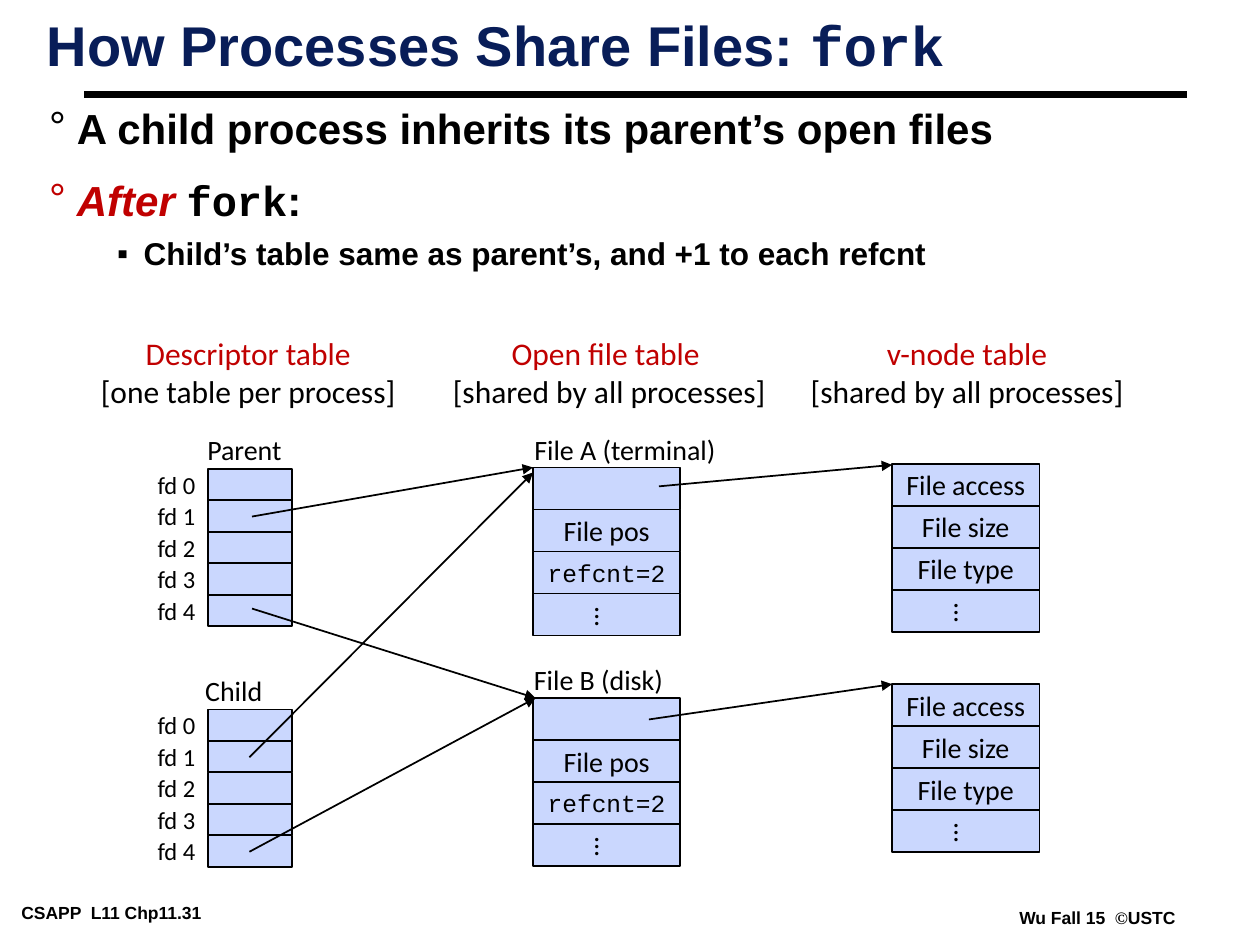
from lxml.etree import SubElement
from pptx import Presentation
from pptx.dml.color import RGBColor
from pptx.enum.shapes import MSO_CONNECTOR, MSO_SHAPE
from pptx.enum.text import MSO_ANCHOR, PP_ALIGN
from pptx.oxml.ns import qn
from pptx.util import Inches, Pt

COLORS = {"ink": "000000", "title": "081D58", "accent": "C00000", "cell": "CAD7FE"}
SANS, MONO, LABEL, SERIF = "Arial", "Courier New", "Calibri", "Times New Roman"
TIGHT, LOOSE = (0.07, 0.03), (0.1, 0.05)

# A run is (text, overrides of the paragraph's font).
TITLE = [("How Processes Share Files: ", {}), ("fork", {"name": MONO})]
FOOTERS = [
    ((0.1, 7.13, 2.1, 0.22), [("CSAPP  L11 Chp11.31", {})]),
    ((8.02, 7.17, 1.38, 0.22),
     [("Wu Fall 15  ", {}), ("©", {"name": SERIF}), ("USTC", {})]),
]
# runs, size, bullet, bullet colour, indent, hanging, line spacing, space before
BULLETS = [
    ([("A child process inherits its parent’s open files", {})],
     24, "°", "ink", 0.22, 0.22, 0.75, 0),
    ([("After ", {"color": "accent", "italic": True}), ("fork", {"name": MONO}), (":", {})],
     24, "°", "accent", 0.22, 0.22, 0.75, 19.5),
    ([("Child’s table same as parent’s, and +1 to each refcnt", {})],
     18, "▪", "ink", 0.75, 0.21, 0.85, 9),
]
HEADINGS = [
    (0.7, 2.54, "Descriptor table", "[one table per process]"),
    (3.49, 2.69, "Open file table ", "[shared by all processes]"),
    (6.33, 2.69, "v-node table", "[shared by all processes]"),
]
CAPTIONS = [
    ("Parent", 1.54, 3.38, 0.8), ("Child", 1.53, 5.29, 0.65),
    ("File A (terminal)", 4.14, 3.38, 1.64), ("File B (disk)", 4.12, 5.21, 1.26),
]
DESCRIPTORS = ["fd 0", "fd 1", "fd 2", "fd 3", "fd 4"]
DESCRIPTOR_TOPS = [3.72, 5.63]
OPEN_FILE = ["", "File pos", "refcnt=2", "..."]
V_NODE = ["File access", "File size", "File type", "..."]
RECORDS = [(4.23, 3.71, OPEN_FILE), (4.23, 5.54, OPEN_FILE),
           (7.08, 3.68, V_NODE), (7.08, 5.43, V_NODE)]
ARROWS = [
    ((2, 4.1), (4.23, 3.71)), ((2, 4.83), (4.25, 5.54)),
    ((1.98, 6.01), (4.23, 3.75)), ((1.98, 6.76), (4.25, 5.54)),
    ((5.23, 3.86), (7.08, 3.69)), ((5.15, 5.71), (7.08, 5.43)),
]
FD_LEFT, FD_WIDTH, FD_HEIGHT = 1.65, 0.67, 0.25
RECORD_WIDTH, RECORD_HEIGHT = 1.17, 1 / 3

presentation = Presentation()
presentation.slide_width, presentation.slide_height = Inches(10), Inches(7.5)
slide = presentation.slides.add_slide(presentation.slide_layouts[6])


def rgb(name):
    return RGBColor.from_string(COLORS[name])


def style(font, name=None, size=None, color=None, bold=None, italic=None):
    if name:
        font.name = name
    if size:
        font.size = Pt(size)
    if color:
        font.color.rgb = rgb(color)
    if bold is not None:
        font.bold = bold
    if italic is not None:
        font.italic = italic


def fill_paragraph(paragraph, runs, align=PP_ALIGN.LEFT, **font):
    paragraph.alignment = align
    style(paragraph.font, **font)
    for text, overrides in runs:
        run = paragraph.add_run()
        run.text = text
        style(run.font, **overrides)


def prepare_frame(shape, insets=LOOSE, wrap=False, anchor=MSO_ANCHOR.MIDDLE):
    frame = shape.text_frame
    frame.margin_left = frame.margin_right = Inches(insets[0])
    frame.margin_top = frame.margin_bottom = Inches(insets[1])
    frame.word_wrap, frame.vertical_anchor = wrap, anchor
    return frame


def add_text_frame(box, **options):
    return prepare_frame(slide.shapes.add_textbox(*map(Inches, box)), **options)


def add_label(text, box, size, align=PP_ALIGN.CENTER):
    fill_paragraph(add_text_frame(box).paragraphs[0], [(text, {})], align,
                   name=LABEL, size=size, color="ink")


def add_cell(box, text=""):
    cell = slide.shapes.add_shape(MSO_SHAPE.RECTANGLE, *map(Inches, box))
    cell.shadow.inherit = False
    cell.fill.solid()
    cell.fill.fore_color.rgb = rgb("cell")
    cell.line.color.rgb = rgb("ink")
    cell.line.width = Pt(1)
    if not text:
        return
    is_code, is_ellipsis = "=" in text, text == "..."
    frame = prepare_frame(cell, LOOSE[::-1] if is_ellipsis else LOOSE)
    if is_ellipsis:
        frame._txBody.bodyPr.set("vert", "eaVert")
    fill_paragraph(frame.paragraphs[0], [(text, {})], PP_ALIGN.CENTER, color="ink",
                   name=MONO if is_code else LABEL, size=14 if is_code else 16)


def add_line(start, end, width=1, arrow=False):
    line = slide.shapes.add_connector(MSO_CONNECTOR.STRAIGHT, *map(Inches, start + end))
    line.line.color.rgb = rgb("ink")
    line.line.width = Pt(width)
    if arrow:
        SubElement(line.line._get_or_add_ln(), qn("a:tailEnd"), type="triangle")
    SubElement(line._element.spPr, qn("a:effectLst"))


def set_bullet(paragraph, character, color, indent, hanging):
    properties = paragraph._p.get_or_add_pPr()
    properties.set("marL", str(Inches(indent)))
    properties.set("indent", str(-Inches(hanging)))
    bullet_color = SubElement(properties, qn("a:buClr"))
    SubElement(bullet_color, qn("a:srgbClr"), val=COLORS[color])
    SubElement(properties, qn("a:buFont"), typeface=SANS)
    SubElement(properties, qn("a:buChar"), char=character)


for box, runs in FOOTERS:
    frame = add_text_frame(box, insets=TIGHT, anchor=MSO_ANCHOR.TOP)
    fill_paragraph(frame.paragraphs[0], runs, name=SANS, size=10, color="ink", bold=True)
add_line((0.67, 0.75), (9.42, 0.75), width=4.5)

title = add_text_frame((0.3, 0.13, 8.3, 0.83), insets=TIGHT, wrap=True,
                       anchor=MSO_ANCHOR.TOP).paragraphs[0]
title.line_spacing = 0.87
fill_paragraph(title, TITLE, name=SANS, size=32, color="title", bold=True)

body = add_text_frame((0.32, 0.88, 9.09, 1.42), insets=TIGHT, wrap=True,
                      anchor=MSO_ANCHOR.TOP)
for index, (runs, size, character, color, indent, hanging, spacing, before) in enumerate(BULLETS):
    paragraph = body.add_paragraph() if index else body.paragraphs[0]
    paragraph.level = 1 if character == "▪" else 0
    paragraph.line_spacing, paragraph.space_before = spacing, Pt(before)
    set_bullet(paragraph, character, color, indent, hanging)
    fill_paragraph(paragraph, runs, name=SANS, size=size, color="ink", bold=True)

for left, width, name, scope in HEADINGS:
    frame = add_text_frame((left, 2.6, width, 0.7))
    for paragraph, text, color in ((frame.paragraphs[0], name, "accent"),
                                   (frame.add_paragraph(), scope, "ink")):
        fill_paragraph(paragraph, [(text, {})], PP_ALIGN.CENTER,
                       name=LABEL, size=18, color=color)

for table_top in DESCRIPTOR_TOPS:
    for row, descriptor in enumerate(DESCRIPTORS):
        top = table_top + row * FD_HEIGHT
        add_cell((FD_LEFT, top, FD_WIDTH, FD_HEIGHT))
        add_label(descriptor, (FD_LEFT - FD_WIDTH, top, FD_WIDTH, FD_HEIGHT), 14,
                  PP_ALIGN.RIGHT)

for left, record_top, fields in RECORDS:
    for row, field in enumerate(fields):
        add_cell((left, record_top + row * RECORD_HEIGHT, RECORD_WIDTH, RECORD_HEIGHT), field)

for text, left, top, width in CAPTIONS:
    add_label(text, (left, top, width, 0.37), 16)
for start, end in ARROWS:
    add_line(start, end, arrow=True)

presentation.save("out.pptx")
